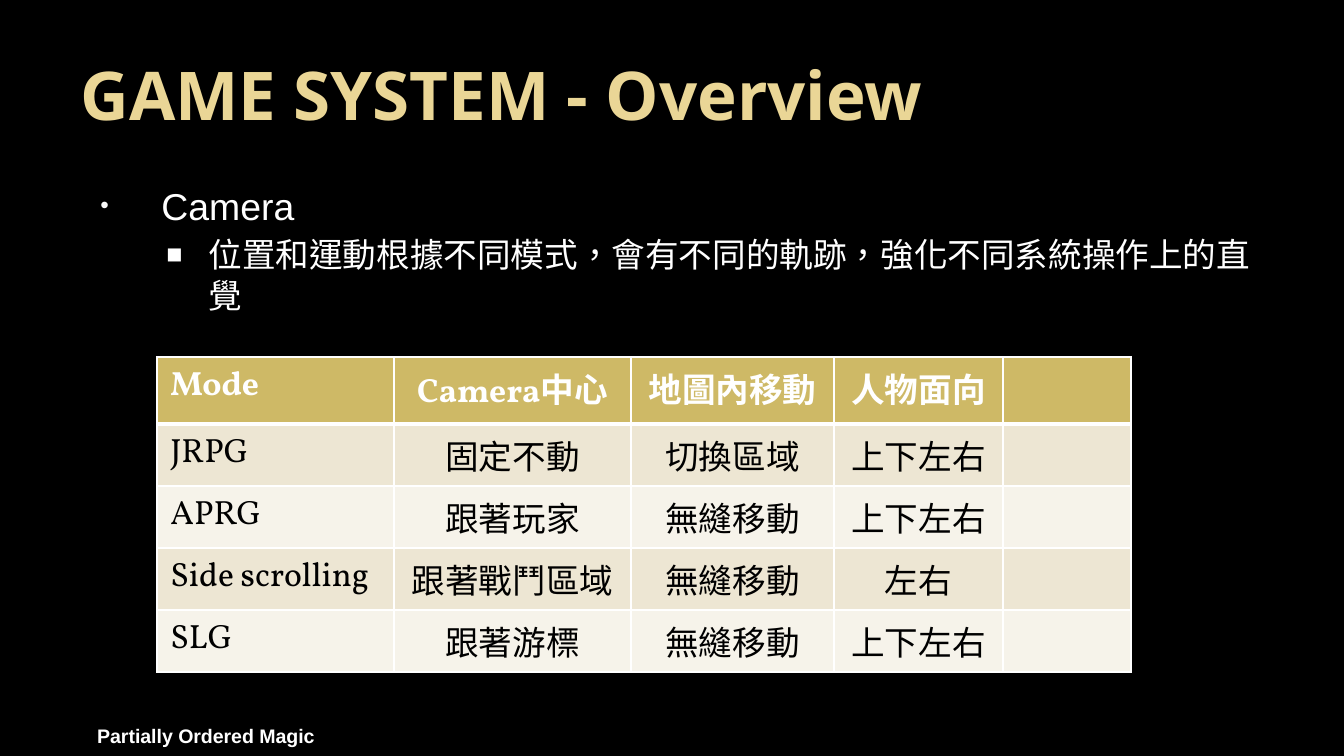
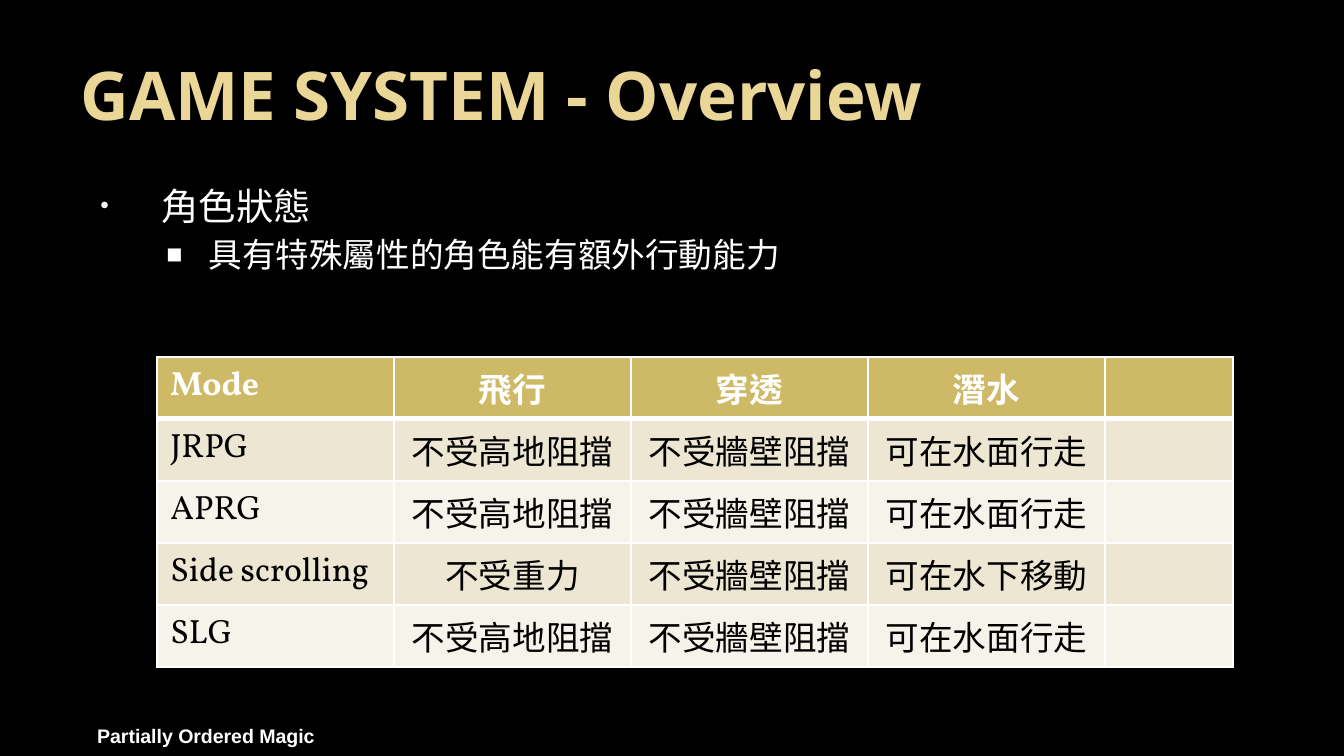
from lxml.etree import SubElement
from pptx import Presentation
from pptx.dml.color import RGBColor
from pptx.enum.text import MSO_ANCHOR as Anchor, MSO_AUTO_SIZE as AutoSize, PP_ALIGN as Align
from pptx.oxml.ns import qn
from pptx.util import Emu, Pt

PX = 914400 / 134.4
WIDTH, HEIGHT = 1344, 756
BLACK, WHITE = "000000", "FFFFFF"
HEADER_FILL, BAND_FILLS = "CEB966", ("EDE6D3", "F6F3EA")

TITLE_AT = (67, 31, 1210, 126)
BODY_AT = (67, 176, 1210, 519)
FOOTER_AT = (84, 717, 378, 39)
TABLE_LEFT, TABLE_TOP, ROW_HEIGHT = 157, 357, 62

TITLE_FONT = {"name": "Open Sans", "size": 36, "bold": True, "color": "EAD696"}
FOOTER_FONT = {"name": "Arial", "size": 10.5, "bold": True, "color": WHITE}
HEADER_FONT = {"name": "Vollkorn", "size": 18, "bold": True, "color": WHITE}
CELL_FONT = {**HEADER_FONT, "bold": False, "color": BLACK}
LEVELS = [
    {"font": {"name": "Arial", "size": 20, "color": WHITE},
     "left": 81, "hanging": 61, "bullet": "•", "bullet_color": "F9F9F9", "percent": 65},
    {"font": {"name": "Arial", "size": 18, "color": WHITE},
     "left": 128, "hanging": 42, "bullet": "■", "bullet_color": WHITE, "percent": 80},
]

TITLE = "GAME SYSTEM - Overview"
FOOTER = "Partially Ordered Magic"
SLIDES = [
    {"points": ["Camera", "位置和運動根據不同模式，會有不同的軌跡，強化不同系統操作上的直覺"],
     "columns": [237, 237, 203, 169, 128],
     "header_height": 67,
     "rows": [
         ["Mode", "Camera中心", "地圖內移動", "人物面向", ""],
         ["JRPG", "固定不動", "切換區域", "上下左右", ""],
         ["APRG", "跟著玩家", "無縫移動", "上下左右", ""],
         ["Side scrolling", "跟著戰鬥區域", "無縫移動", "左右", ""],
         ["SLG", "跟著游標", "無縫移動", "上下左右", ""],
     ]},
    {"points": ["角色狀態", "具有特殊屬性的角色能有額外行動能力"],
     "columns": [237, 237, 237, 237, 128],
     "header_height": 62,
     "rows": [
         ["Mode", "飛行", "穿透", "潛水", ""],
         ["JRPG", "不受高地阻擋", "不受牆壁阻擋", "可在水面行走", ""],
         ["APRG", "不受高地阻擋", "不受牆壁阻擋", "可在水面行走", ""],
         ["Side scrolling", "不受重力", "不受牆壁阻擋", "可在水下移動", ""],
         ["SLG", "不受高地阻擋", "不受牆壁阻擋", "可在水面行走", ""],
     ]},
]


def px(length):
    return Emu(round(length * PX))


def color(code):
    return RGBColor.from_string(code)


def place(shape, at):
    for name, length in zip(("left", "top", "width", "height"), at):
        setattr(shape, name, px(length))


def write(para, text, font, align=Align.LEFT):
    para.alignment = align
    if not text:
        return
    span = para.add_run()
    span.text = text
    span._r.get_or_add_rPr().set("lang", "zh-TW")
    for name, value in font.items():
        if name == "color":
            span.font.color.rgb = color(value)
        else:
            setattr(span.font, name, Pt(value) if name == "size" else value)


def add_xml(parent, tag, **attributes):
    return SubElement(parent, qn(tag), attributes)


def set_bullet(para, style):
    props = para._p.get_or_add_pPr()
    props.set("marL", str(px(style["left"])))
    props.set("indent", str(-px(style["hanging"])))
    add_xml(add_xml(props, "a:spcBef"), "a:spcPct", val="20000")
    add_xml(add_xml(props, "a:buClr"), "a:srgbClr", val=style["bullet_color"])
    add_xml(props, "a:buSzPct", val=str(style["percent"] * 1000))
    add_xml(props, "a:buFont", typeface="Arial")
    add_xml(props, "a:buChar", char=style["bullet"])


def set_borders(cell, row):
    """Thin white lines, with a thick one between the header and the first row."""
    thick_side = {0: "B", 1: "T"}.get(row)
    for side in "LRTB":
        width = Pt(3 if side == thick_side else 1)
        line = add_xml(cell._tc.get_or_add_tcPr(), f"a:ln{side}", w=str(width))
        add_xml(add_xml(line, "a:solidFill"), "a:srgbClr", val=WHITE)


def add_title(page):
    title = page.shapes.title
    place(title, TITLE_AT)
    title.text_frame.vertical_anchor = Anchor.MIDDLE
    title.text_frame.auto_size = AutoSize.NONE
    write(title.text_frame.paragraphs[0], TITLE, TITLE_FONT)


def add_points(page, points):
    body = page.placeholders[1]
    place(body, BODY_AT)
    frame = body.text_frame
    frame.auto_size = AutoSize.NONE
    for level, (text, style) in enumerate(zip(points, LEVELS)):
        para = frame.add_paragraph() if level else frame.paragraphs[0]
        para.level = level
        write(para, text, style["font"])
        set_bullet(para, style)


def add_mode_table(page, columns, header_height, rows):
    heights = [header_height] + [ROW_HEIGHT] * (len(rows) - 1)
    at = (TABLE_LEFT, TABLE_TOP, sum(columns), sum(heights))
    table = page.shapes.add_table(len(rows), len(columns), *map(px, at)).table
    for column, width in zip(table.columns, columns):
        column.width = px(width)
    for r, (texts, height) in enumerate(zip(rows, heights)):
        table.rows[r].height = px(height)
        for c, text in enumerate(texts):
            cell = table.cell(r, c)
            set_borders(cell, r)
            cell.fill.solid()
            cell.fill.fore_color.rgb = color(BAND_FILLS[(r - 1) % 2] if r else HEADER_FILL)
            write(cell.text_frame.paragraphs[0], text, CELL_FONT if r else HEADER_FONT,
                  Align.CENTER if c else Align.LEFT)


def add_footer(page):
    box = page.shapes.add_textbox(*map(px, FOOTER_AT))
    box.text_frame.word_wrap = True
    box.text_frame.auto_size = AutoSize.SHAPE_TO_FIT_TEXT
    write(box.text_frame.paragraphs[0], FOOTER, FOOTER_FONT)


def main():
    deck = Presentation()
    deck.slide_width, deck.slide_height = px(WIDTH), px(HEIGHT)
    backdrop = deck.slide_master.background.fill
    backdrop.solid()
    backdrop.fore_color.rgb = color(BLACK)
    for content in SLIDES:
        page = deck.slides.add_slide(deck.slide_layouts[1])
        add_footer(page)
        add_title(page)
        add_points(page, content["points"])
        add_mode_table(page, content["columns"], content["header_height"], content["rows"])
    deck.save("out.pptx")


if __name__ == "__main__":
    main()
